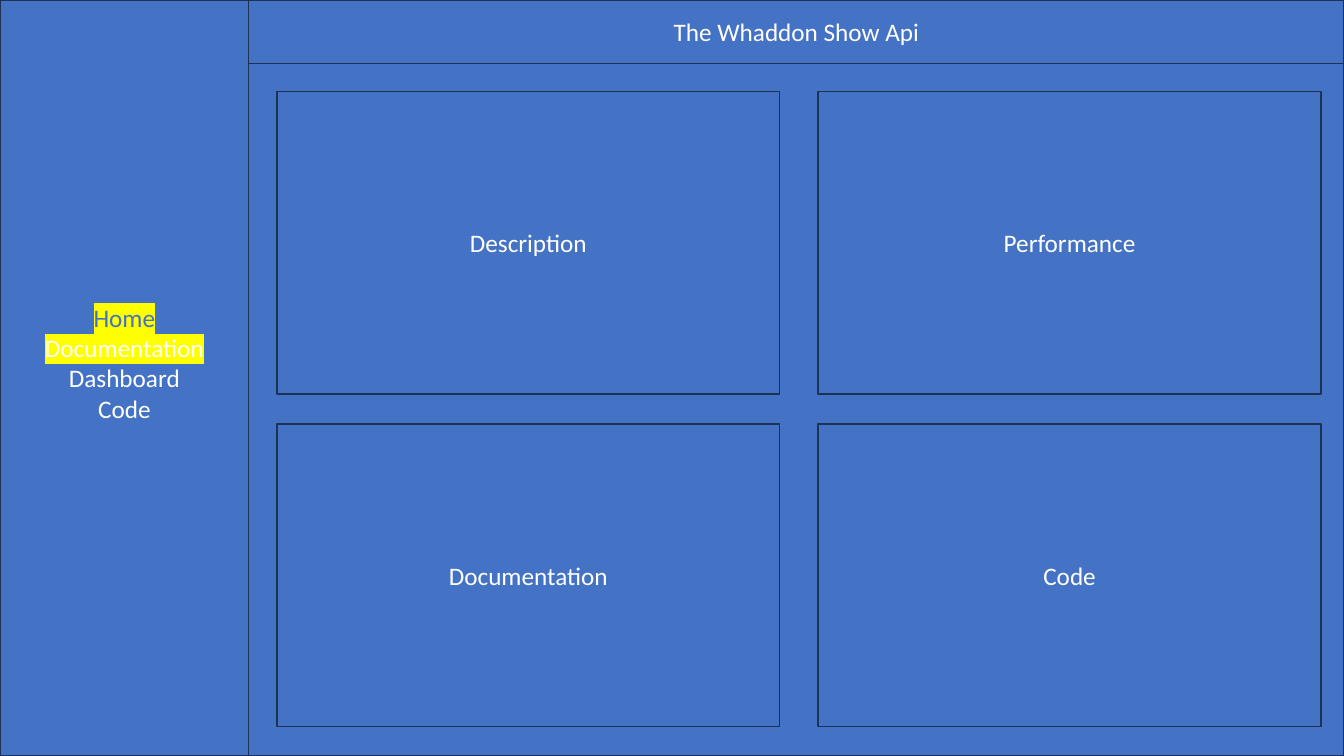
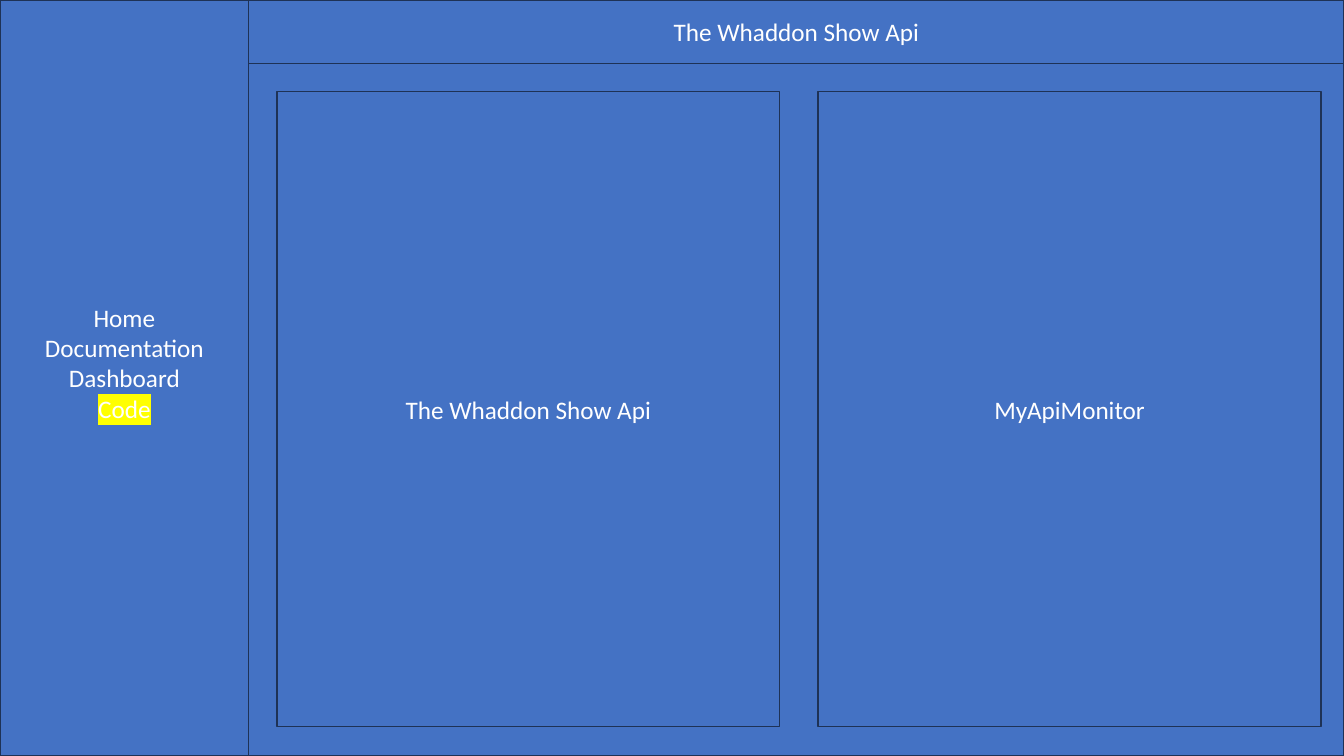
from dataclasses import dataclass
from typing import Sequence

from lxml import etree
from pptx import Presentation
from pptx import util as u
from pptx.dml.color import RGBColor
from pptx.enum import shapes, text
from pptx.oxml import ns

BLUE = RGBColor(0x44, 0x72, 0xC4)
NAVY = RGBColor(0x1E, 0x32, 0x56)
WHITE = RGBColor(0xFF, 0xFF, 0xFF)
YELLOW = RGBColor(0xFF, 0xFF, 0x00)
FONT = "Calibri"
SIZE = u.Pt(18)

SLIDE_W, SLIDE_H = u.Cm(33.87), u.Cm(19.05)
MENU_W = u.Cm(6.27)
HEADER_H = u.Cm(1.6)
MENU_BOTTOM_INSET = u.Cm(0.9)
GRID_X, GRID_Y = u.Cm(6.98), u.Cm(2.31)
CARD_W, CARD_H = u.Cm(12.67), u.Cm(7.62)
GAP_X, GAP_Y = u.Cm(0.97), u.Cm(0.76)
COLUMNS = 2

TITLE = "The Whaddon Show Api"
MENU = ("Home", "Documentation", "Dashboard", "Code")


@dataclass(frozen=True)
class Label:
    text: str
    color: RGBColor = WHITE
    highlight: RGBColor | None = None


@dataclass(frozen=True)
class Page:
    marked: dict[str, RGBColor]
    cards: tuple[str, ...]
    card_h: int


PAGES = (
    Page(
        {"Home": BLUE, "Documentation": WHITE},
        ("Description", "Performance", "Documentation", "Code"),
        CARD_H,
    ),
    Page({"Code": WHITE}, (TITLE, "MyApiMonitor"), 2 * CARD_H + GAP_Y),
)


def add_run(p, label: Label) -> None:
    r = p.add_run()
    r.text = label.text
    r.font.size = SIZE
    r.font.color.rgb = label.color
    if label.highlight is not None:
        hl = etree.SubElement(r.font._element, ns.qn("a:highlight"))
        etree.SubElement(hl, ns.qn("a:srgbClr"), val=str(label.highlight))
    r.font.name = FONT


def add_box(s, x: int, y: int, w: int, h: int, labels: Sequence[Label] = ()):
    sp = s.shapes.add_shape(shapes.MSO_SHAPE.RECTANGLE, x, y, w, h)
    sp.shadow.inherit = False
    sp.fill.solid()
    sp.fill.fore_color.rgb = BLUE
    sp.line.color.rgb = NAVY
    sp.line.width = u.Pt(1)
    tf = sp.text_frame
    tf.word_wrap = True
    tf.vertical_anchor = text.MSO_ANCHOR.MIDDLE
    for i, label in enumerate(labels):
        p = tf.add_paragraph() if i else tf.paragraphs[0]
        p.alignment = text.PP_ALIGN.CENTER
        add_run(p, label)
    return sp


def add_frame(s, marked: dict[str, RGBColor]) -> None:
    items = [
        Label(name, marked[name], YELLOW) if name in marked else Label(name)
        for name in MENU
    ]
    menu = add_box(s, 0, 0, MENU_W, SLIDE_H, items)
    menu.text_frame.margin_bottom = MENU_BOTTOM_INSET
    add_box(s, MENU_W, 0, SLIDE_W - MENU_W, SLIDE_H)
    add_box(s, MENU_W, 0, SLIDE_W - MENU_W, HEADER_H, [Label(TITLE)])


def add_cards(s, page: Page) -> None:
    for i, name in enumerate(page.cards):
        row, col = divmod(i, COLUMNS)
        x = GRID_X + col * (CARD_W + GAP_X)
        y = GRID_Y + row * (page.card_h + GAP_Y)
        add_box(s, x, y, CARD_W, page.card_h, [Label(name)])


def main() -> None:
    prs = Presentation()
    prs.slide_width, prs.slide_height = SLIDE_W, SLIDE_H
    for page in PAGES:
        s = prs.slides.add_slide(prs.slide_layouts[6])
        add_frame(s, page.marked)
        add_cards(s, page)
    prs.save("out.pptx")


if __name__ == "__main__":
    main()
